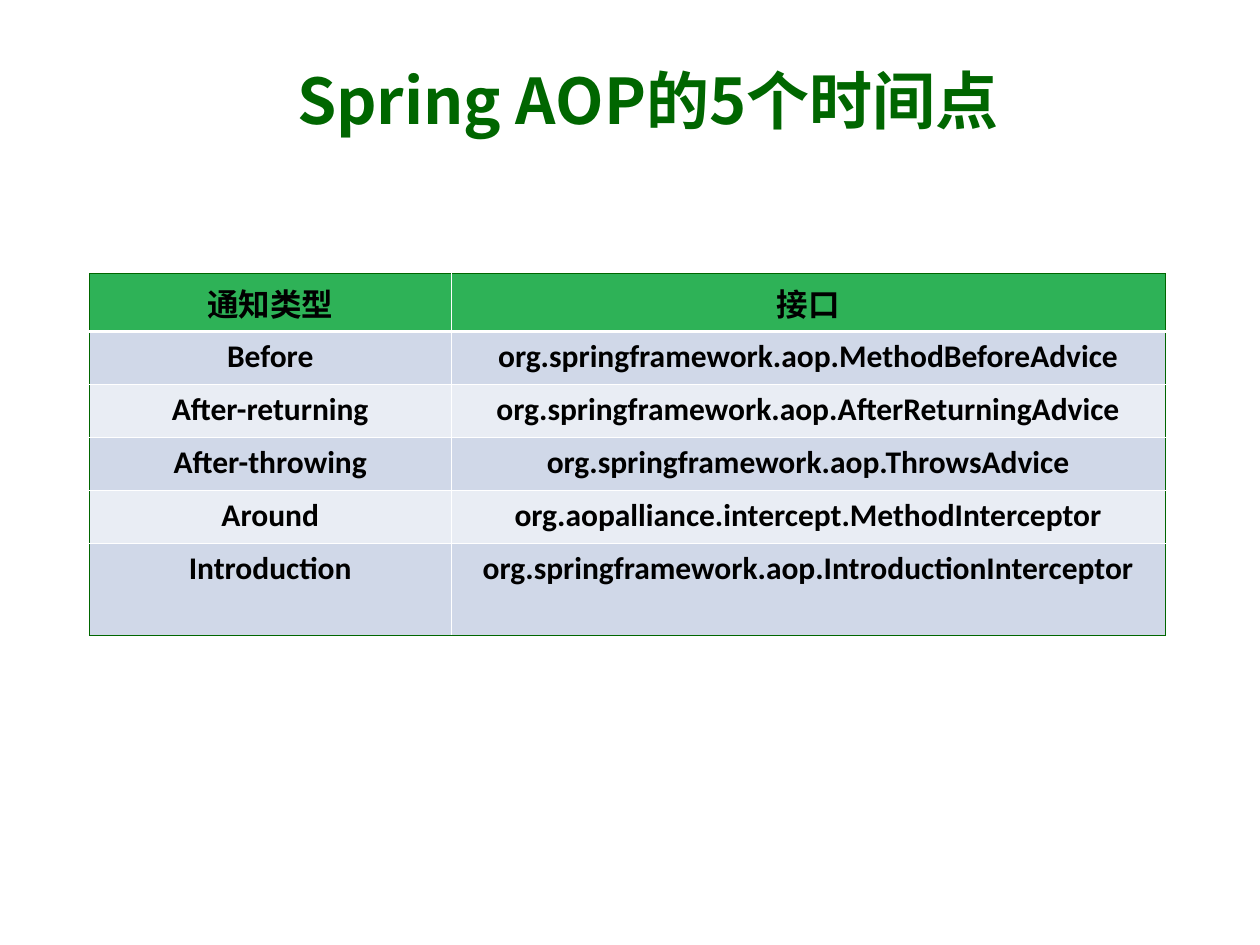
import dataclasses

import pptx
import pptx.dml.color
import pptx.enum.text
import pptx.oxml.ns
import pptx.util
from lxml import etree

Inches = pptx.util.Inches
Pt = pptx.util.Pt
Align = pptx.enum.text.PP_ALIGN
Anchor = pptx.enum.text.MSO_ANCHOR


@dataclasses.dataclass(frozen=True)
class Theme:
    green: str = "006600"
    head: str = "2EB257"
    bands: tuple = ("D0D8E8", "E9EDF4")
    white: str = "FFFFFF"
    black: str = "000000"
    latin: str = "Calibri"
    asian: str = "Noto Sans CJK JP"
    title: int = 36
    body: int = 18
    edge: float = 0.11
    thin: float = 0.45
    thick: float = 1.47


THEME = Theme()

ROWS = [
    ("通知类型", "接口"),
    ("Before", "org.springframework.aop.MethodBeforeAdvice"),
    ("After-returning", "org.springframework.aop.AfterReturningAdvice"),
    ("After-throwing", "org.springframework.aop.ThrowsAdvice"),
    ("Around", "org.aopalliance.intercept.MethodInterceptor"),
    ("Introduction", "org.springframework.aop.IntroductionInterceptor"),
]
WIDTHS = (2.87, 5.67)
HEIGHTS = (0.46, 0.42, 0.42, 0.42, 0.42, 0.73)


def color(code):
    return pptx.dml.color.RGBColor.from_string(code)


def write(frame, text, *, size, ink, font, align=Align.LEFT):
    """Put one bold paragraph into a text frame."""
    para = frame.paragraphs[0]
    para.alignment = align
    run = para.add_run()
    run.text = text
    run.font.size = Pt(size)
    run.font.bold = True
    run.font.name = font
    run.font.color.rgb = color(ink)
    # East Asian glyphs need a typeface of their own
    asian = etree.SubElement(run.font._element, pptx.oxml.ns.qn("a:ea"))
    asian.set("typeface", THEME.asian)


def border(cell, side, ink, width):
    qn = pptx.oxml.ns.qn
    line = etree.SubElement(cell._tc.get_or_add_tcPr(), qn("a:ln" + side))
    line.set("w", str(int(Pt(width))))
    fill = etree.SubElement(line, qn("a:solidFill"))
    etree.SubElement(fill, qn("a:srgbClr")).set("val", ink)


def frame_cell(cell, row, col):
    """Green on the outside, white inside, thicker under the header."""
    outer = (THEME.green, THEME.edge)
    inner = (THEME.white, THEME.thin)
    rule = (THEME.white, THEME.thick)
    last = len(ROWS) - 1
    border(cell, "L", *(outer if col == 0 else inner))
    border(cell, "R", *(outer if col == 1 else inner))
    border(cell, "T", *({0: outer, 1: rule}.get(row, inner)))
    border(cell, "B", *({0: rule, last: outer}.get(row, inner)))


def add_title(slide, text):
    box = slide.shapes.add_textbox(
        Inches(2.26), Inches(0.41), Inches(7), Inches(0.75))
    frame = box.text_frame
    frame.word_wrap = True
    frame.vertical_anchor = Anchor.MIDDLE
    write(frame, text, size=THEME.title, ink=THEME.green, font=THEME.asian)


def add_grid(slide):
    table = slide.shapes.add_table(
        len(ROWS), len(WIDTHS), Inches(0.71), Inches(2.17),
        Inches(sum(WIDTHS)), Inches(sum(HEIGHTS))).table
    for col, width in zip(table.columns, WIDTHS):
        col.width = Inches(width)
    for row, height in zip(table.rows, HEIGHTS):
        row.height = Inches(height)

    for r, texts in enumerate(ROWS):
        shade = THEME.bands[(r - 1) % 2] if r else THEME.head
        for c, text in enumerate(texts):
            cell = table.cell(r, c)
            frame_cell(cell, r, c)
            cell.fill.solid()
            cell.fill.fore_color.rgb = color(shade)
            write(cell.text_frame, text, size=THEME.body, ink=THEME.black,
                  font=THEME.latin, align=Align.CENTER)


def main():
    deck = pptx.Presentation()
    deck.slide_width = Inches(10)
    deck.slide_height = Inches(7.5)
    slide = deck.slides.add_slide(deck.slide_layouts[6])
    add_title(slide, "Spring AOP的5个时间点")
    add_grid(slide)
    deck.save("out.pptx")


if __name__ == "__main__":
    main()
